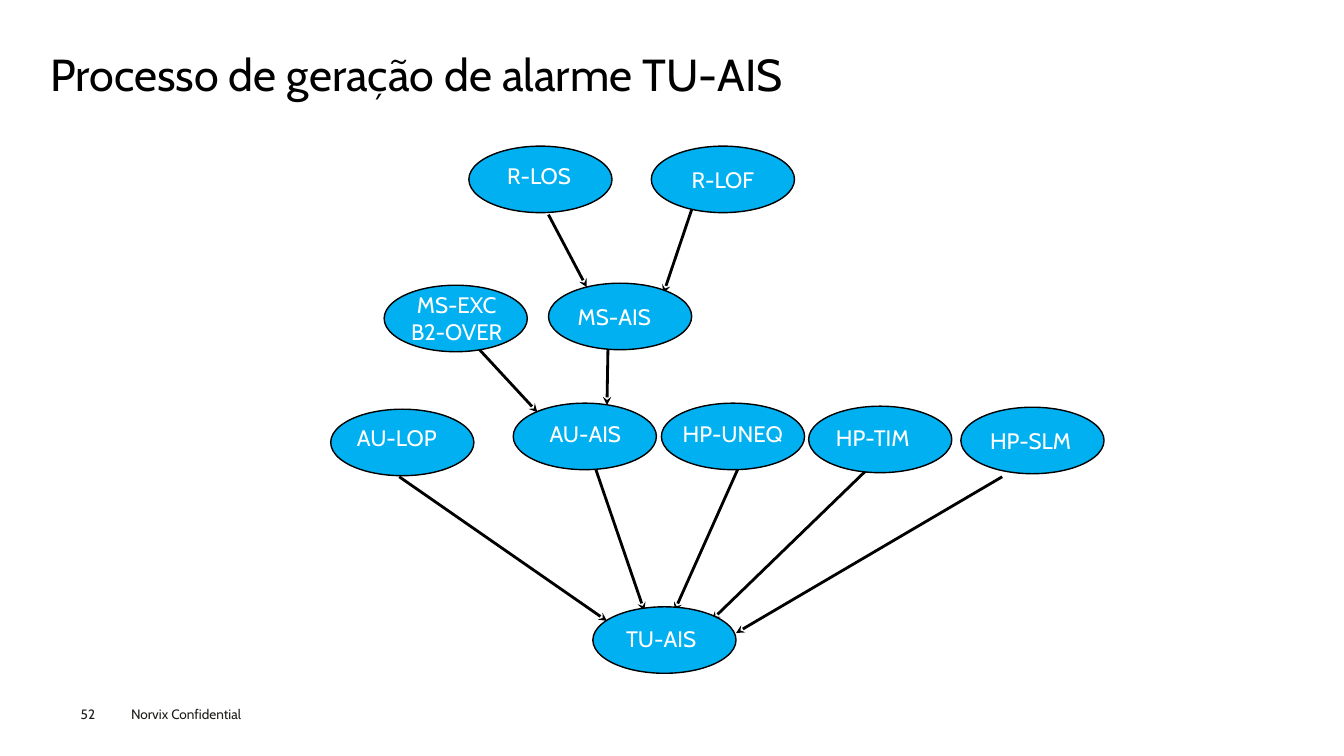
from dataclasses import dataclass

from lxml import etree
from pptx import Presentation
from pptx.dml.color import RGBColor
from pptx.enum import shapes, text
from pptx.oxml import ns
from pptx.util import Inches, Pt

FONT = "Cabin"
BLACK = RGBColor(0x00, 0x00, 0x00)
WHITE = RGBColor(0xFF, 0xFF, 0xFF)
BLUE = RGBColor(0x00, 0xB0, 0xF0)
INK = RGBColor(0x1D, 0x1D, 0x1B)
ALARM_W, ALARM_H = 1.42, 0.66
LABEL_LINE_H = 0.3


@dataclass(frozen=True)
class Alarm:
    label: str
    x: float
    y: float
    label_x: float
    label_y: float
    label_w: float
    align: text.PP_ALIGN = text.PP_ALIGN.LEFT


@dataclass(frozen=True)
class Arrow:
    x1: float
    y1: float
    x2: float
    y2: float


ALARMS = [
    Alarm("R-LOS", 4.65, 1.45, 5.03, 1.61, 0.72),
    Alarm("R-LOF", 6.46, 1.45, 6.86, 1.65, 0.71),
    Alarm("MS-AIS", 5.44, 2.81, 5.73, 3.01, 0.84),
    Alarm("MS-EXC\nB2-OVER", 3.81, 2.83, 4.01, 2.89, 1.04, text.PP_ALIGN.CENTER),
    Alarm("HP-SLM", 9.53, 4.04, 9.82, 4.24, 0.93),
    Alarm("HP-TIM", 8.02, 4.03, 8.29, 4.21, 0.88),
    Alarm("HP-UNEQ", 6.56, 4.0, 6.77, 4.17, 1.15),
    Alarm("AU-AIS", 5.09, 4.0, 5.45, 4.17, 0.82),
    Alarm("AU-LOP", 3.28, 4.06, 3.54, 4.21, 0.92),
    Alarm("TU-AIS", 5.88, 6.02, 6.21, 6.2, 0.8),
]

ARROWS = [
    Arrow(5.44, 2.13, 5.82, 2.85),
    Arrow(6.86, 2.08, 6.58, 2.91),
    Arrow(4.59, 3.29, 5.33, 4.09),
    Arrow(6.03, 3.45, 6.02, 4.02),
    Arrow(3.96, 4.73, 6.02, 6.16),
    Arrow(5.9, 4.63, 6.39, 6.06),
    Arrow(7.32, 4.65, 6.69, 6.06),
    Arrow(8.64, 4.62, 7.06, 6.15),
    Arrow(9.94, 4.73, 7.3, 6.28),
]


def write(tf, content: str, size: float, color: RGBColor,
          align: text.PP_ALIGN = text.PP_ALIGN.LEFT) -> None:
    tf.margin_left = tf.margin_right = tf.margin_top = tf.margin_bottom = 0
    tf.word_wrap = True
    tf.text = content
    for p in tf.paragraphs:
        p.alignment = align
        p.font.name = FONT
        p.font.size = Pt(size)
        p.font.color.rgb = color


def add_label(s, content: str, x: float, y: float, w: float, h: float, size: float,
              color: RGBColor, align: text.PP_ALIGN = text.PP_ALIGN.LEFT) -> None:
    box = s.shapes.add_textbox(Inches(x), Inches(y), Inches(w), Inches(h))
    write(box.text_frame, content, size, color, align)


def add_title(s, content: str) -> None:
    title = s.shapes.title
    title.left, title.top = Inches(0.5), Inches(0.49)
    title.width, title.height = Inches(12.35), Inches(0.54)
    tf = title.text_frame
    write(tf, content, 32, BLACK)
    tf.auto_size = text.MSO_AUTO_SIZE.NONE
    tf.vertical_anchor = text.MSO_ANCHOR.MIDDLE
    tf.paragraphs[0].line_spacing = 0.9


def add_arrow(s, arrow: Arrow) -> None:
    line = s.shapes.add_connector(
        shapes.MSO_CONNECTOR.STRAIGHT,
        Inches(arrow.x1), Inches(arrow.y1), Inches(arrow.x2), Inches(arrow.y2))
    line.line.color.rgb = BLACK
    line.line.width = Pt(2)
    etree.SubElement(line.line._get_or_add_ln(), ns.qn("a:tailEnd"), type="stealth")
    etree.SubElement(line._element.spPr, ns.qn("a:effectLst"))


def add_alarm(s, alarm: Alarm) -> None:
    sp = s.shapes.add_shape(
        shapes.MSO_SHAPE.OVAL,
        Inches(alarm.x), Inches(alarm.y), Inches(ALARM_W), Inches(ALARM_H))
    sp.shadow.inherit = False
    sp.fill.solid()
    sp.fill.fore_color.rgb = BLUE
    sp.line.color.rgb = BLACK
    sp.line.width = Pt(1)
    height = LABEL_LINE_H * len(alarm.label.split("\n"))
    add_label(s, alarm.label, alarm.label_x, alarm.label_y, alarm.label_w, height,
              16, WHITE, alarm.align)


def main() -> None:
    prs = Presentation()
    prs.slide_width, prs.slide_height = Inches(13.33), Inches(7.5)
    s = prs.slides.add_slide(prs.slide_layouts[5])
    add_title(s, "Processo de geração de alarme TU-AIS")
    for arrow in ARROWS:
        add_arrow(s, arrow)
    for alarm in ALARMS:
        add_alarm(s, alarm)
    add_label(s, "52", 0.8, 7, 0.55, 0.16, 9.7, INK)
    add_label(s, "Norvix Confidential", 1.3, 7, 1.4, 0.16, 9.7, INK)
    prs.save("out.pptx")


if __name__ == "__main__":
    main()
